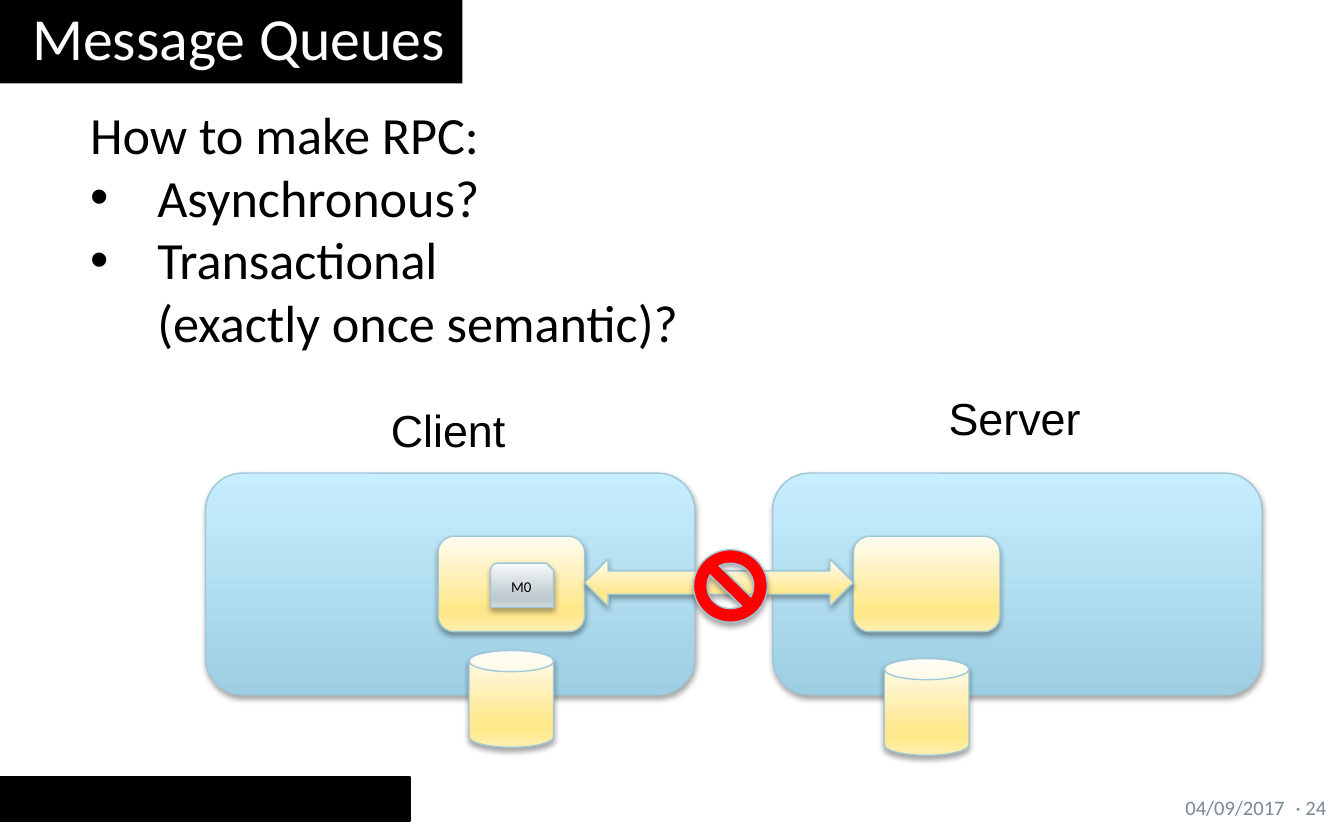
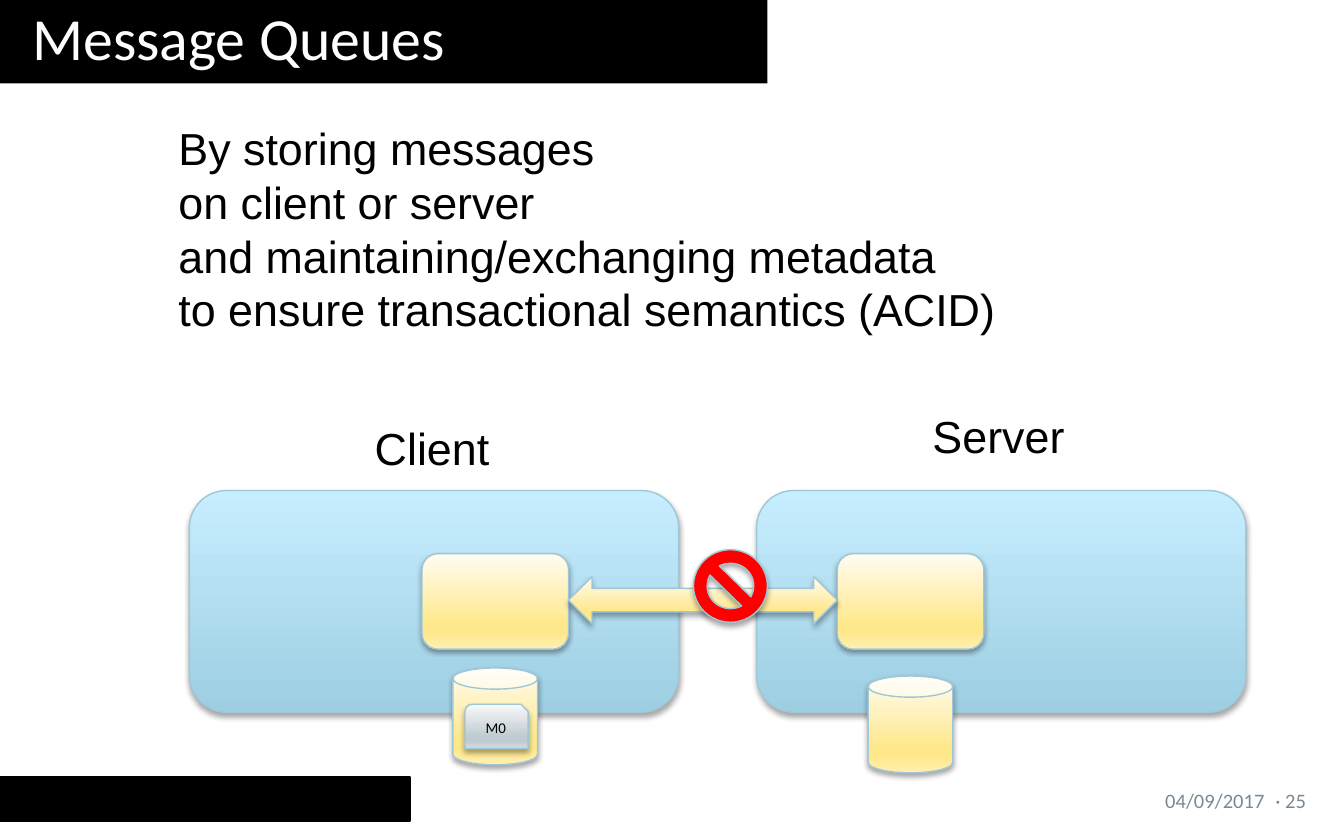
from dataclasses import dataclass

from lxml import etree
from pptx import Presentation
from pptx.dml import color
from pptx.enum import shapes, text
from pptx.oxml import ns
from pptx.util import Inches, Pt


@dataclass(frozen=True)
class Theme:
    black: str = "000000"
    white: str = "FFFFFF"
    footer: str = "778A95"
    outline: str = "A0C7D6"
    forbidden: str = "FF0000"
    panel: tuple = (270, ((0, "9DCEE2"), (100, "C7EEFF")))
    component: tuple = (90, ((0, "FFFCF2"), (74, "FFE88C"), (83, "FFE88C"), (100, "FFF0B2")))
    message: tuple = (90, ((0, "F8F9FA"), (74, "BFCBD0"), (83, "BFCBD0"), (100, "D4DCE0")))
    heading_font: str = "Calibri"
    label_font: str = "Arial"
    title_size: int = 32
    body_size: int = 28
    label_size: int = 24
    footer_size: int = 11
    message_size: int = 8


THEME = Theme()
KIND = shapes.MSO_SHAPE
ALIGN = text.PP_ALIGN
ANCHOR = text.MSO_ANCHOR
NO_INSETS = (0, 0, 0, 0)
DEFAULT_INSETS = (0.1, 0.05, 0.1, 0.05)
PANEL_STEP = 4.22
COMPONENT_STEP = 3.09


def rgb(value):
    return color.RGBColor.from_string(value)


def add_element(parent, tag, **attributes):
    return etree.SubElement(parent, ns.qn(tag), {name: str(value) for name, value in attributes.items()})


def write(shape, lines, size, font, ink=THEME.black, align=ALIGN.LEFT,
          anchor=ANCHOR.TOP, insets=DEFAULT_INSETS, wrap=True):
    frame = shape.text_frame
    frame.text = lines
    frame.word_wrap = wrap
    frame.vertical_anchor = anchor
    frame.margin_left, frame.margin_top, frame.margin_right, frame.margin_bottom = map(Inches, insets)
    for paragraph in frame.paragraphs:
        paragraph.alignment = align
        for run in paragraph.runs:
            run.font.size = Pt(size)
            run.font.name = font
            run.font.color.rgb = rgb(ink)


def add_text(slide, box, lines, size, font, **options):
    shape = slide.shapes.add_textbox(*map(Inches, box))
    write(shape, lines, size, font, **options)
    return shape


def add_bullet(paragraph, hanging):
    properties = paragraph._p.get_or_add_pPr()
    properties.set("marL", str(Inches(hanging)))
    properties.set("indent", str(-Inches(hanging)))
    add_element(properties, "a:buFont", typeface=THEME.label_font)
    add_element(properties, "a:buChar", char="•")


def add_solid(slide, kind, box, fill, line, line_width):
    shape = slide.shapes.add_shape(kind, *map(Inches, box))
    shape.shadow.inherit = False
    shape.fill.solid()
    shape.fill.fore_color.rgb = rgb(fill)
    shape.line.color.rgb = rgb(line)
    shape.line.width = Pt(line_width)
    return shape


def add_shadow(shape):
    effects = shape._element.spPr.find(ns.qn("a:effectLst"))
    shadow = add_element(effects, "a:outerShdw", blurRad=Pt(3.1), dist=Pt(1.8),
                         dir=90 * 60000, rotWithShape=0)
    ink = add_element(shadow, "a:srgbClr", val=THEME.black)
    add_element(ink, "a:alpha", val=35000)


def set_gradient(shape, gradient):
    angle, stops = gradient
    shape.fill.gradient()
    fill = shape._element.spPr.find(ns.qn("a:gradFill"))
    for child in list(fill):
        fill.remove(child)
    stop_list = add_element(fill, "a:gsLst")
    for position, value in stops:
        stop = add_element(stop_list, "a:gs", pos=position * 1000)
        add_element(stop, "a:srgbClr", val=value)
    add_element(fill, "a:lin", ang=angle * 60000, scaled=0)


def add_part(slide, kind, box, gradient=None):
    shape = add_solid(slide, kind, box, THEME.forbidden, THEME.outline, 0.75)
    if gradient:
        set_gradient(shape, gradient)
    add_shadow(shape)
    return shape


def add_frame(presentation, title_width, number, footer_left, footer_top):
    slide = presentation.slides.add_slide(presentation.slide_layouts[6])
    add_solid(slide, KIND.RECTANGLE, (0, 5.78, 3.05, 0.33), THEME.black, THEME.black, 1)
    title = add_solid(slide, KIND.RECTANGLE, (0, 0, title_width, 0.62), THEME.black, THEME.black, 1)
    title.line.fill.background()
    write(title, "Message Queues", THEME.title_size, THEME.heading_font, ink=THEME.white,
          anchor=ANCHOR.MIDDLE, insets=(0.24, 0, 0.1, 0.08))
    footers = (
        (0, 2.33, "04/09/2017", ALIGN.RIGHT),
        (2.41, 0.33, f"· {number}", ALIGN.LEFT),
    )
    for offset, width, words, align in footers:
        add_text(slide, (footer_left + offset, footer_top, width, 0.33), words,
                 THEME.footer_size, THEME.heading_font, ink=THEME.footer,
                 align=align, anchor=ANCHOR.MIDDLE, insets=NO_INSETS)
    return slide


def add_client_and_server(slide, left, top):
    for side in range(2):
        add_part(slide, KIND.ROUNDED_RECTANGLE,
                 (left + side * PANEL_STEP, top, 3.64, 1.65), THEME.panel)
    labels = (("Client", 1.28, -0.57, 1.07), ("Server", 5.43, -0.66, 1.2))
    for words, x, y, width in labels:
        add_text(slide, (left + x, top + y, width, 0.5), words, THEME.label_size, THEME.label_font)
    for side in range(2):
        shift = left + side * COMPONENT_STEP
        add_part(slide, KIND.ROUNDED_RECTANGLE, (shift + 1.73, top + 0.47, 1.09, 0.71), THEME.component)
        add_part(slide, KIND.CAN, (shift + 1.96, top + 1.32 + side * 0.06, 0.63, 0.72), THEME.component)
    add_part(slide, KIND.LEFT_RIGHT_ARROW, (left + 2.82, top + 0.64, 2, 0.35), THEME.component)
    add_part(slide, KIND.NO_SYMBOL, (5.16, 4.09, 0.55, 0.54))


def add_message(slide, left, top):
    message = add_part(slide, KIND.SNIP_ROUND_RECTANGLE, (left, top, 0.47, 0.33), THEME.message)
    write(message, "M0", THEME.message_size, THEME.heading_font,
          align=ALIGN.CENTER, anchor=ANCHOR.MIDDLE)


def add_question_slide(presentation):
    slide = add_frame(presentation, 3.44, 24, 7.23, 5.84)
    questions = add_text(
        slide, (0.67, 0.76, 8.75, 2.6),
        "How to make RPC:\nAsynchronous?\nTransactional\v(exactly once semantic)?",
        THEME.body_size, THEME.heading_font, insets=NO_INSETS)
    for paragraph in questions.text_frame.paragraphs[1:]:
        add_bullet(paragraph, 0.5)
    add_client_and_server(slide, 1.53, 3.52)
    add_message(slide, 3.65, 4.19)


def add_storage_slide(presentation):
    slide = add_frame(presentation, 5.71, 25, 7.08, 5.79)
    add_client_and_server(slide, 1.41, 3.65)
    add_text(
        slide, (1.23, 0.85, 6.34, 2.12),
        "By storing messages\von client or server\v"
        "and maintaining/exchanging metadata\vto ensure transactional semantics (ACID)",
        THEME.label_size, THEME.label_font, wrap=False)
    add_message(slide, 3.46, 5.24)


def main():
    presentation = Presentation()
    presentation.slide_width = Inches(10)
    presentation.slide_height = Inches(6.25)
    add_question_slide(presentation)
    add_storage_slide(presentation)
    presentation.save("out.pptx")


if __name__ == "__main__":
    main()
